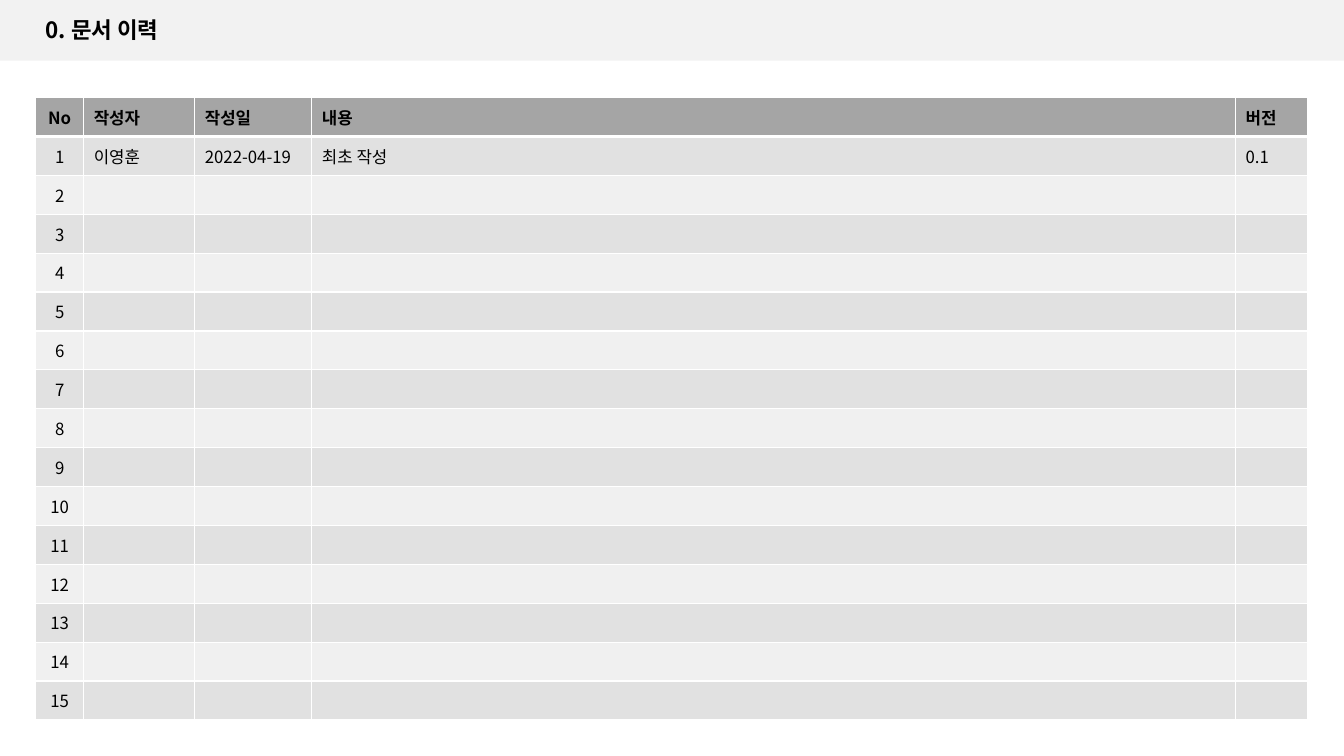
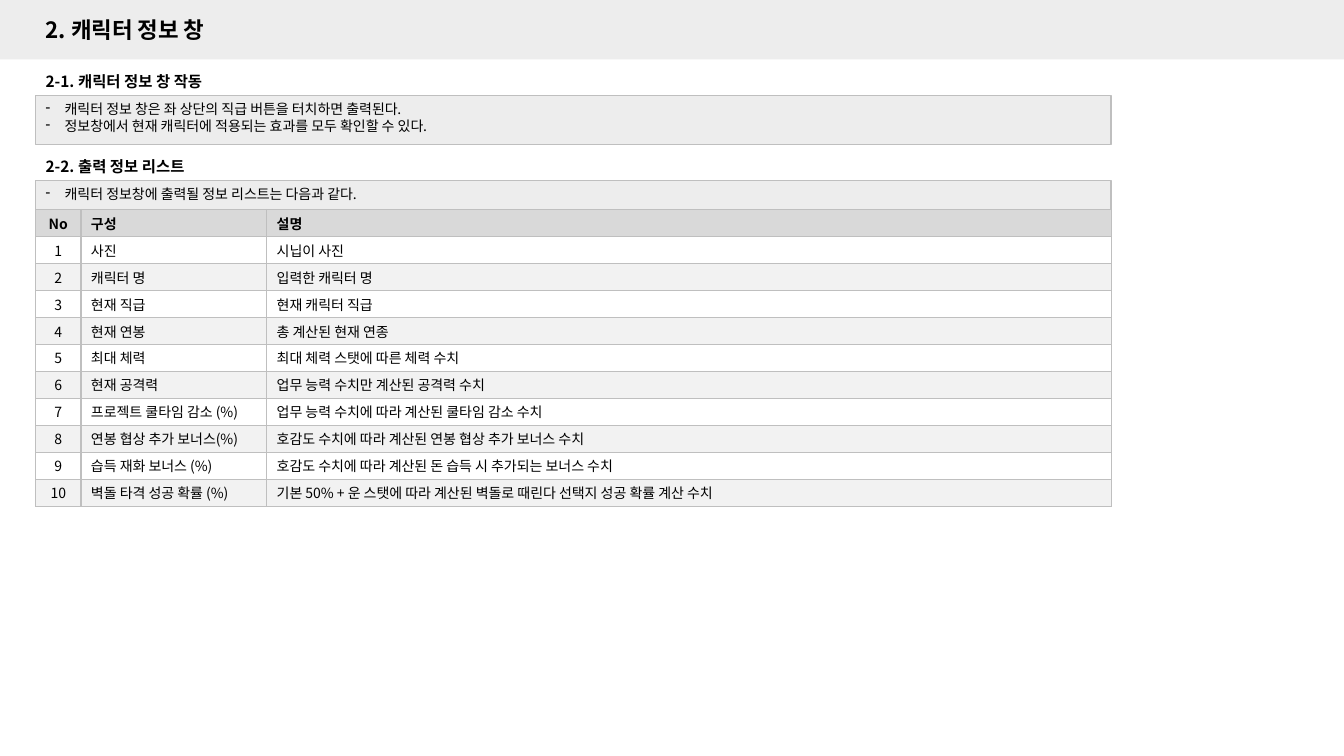
from lxml.etree import SubElement
from pptx import Presentation
from pptx.dml.color import RGBColor
from pptx.enum.shapes import MSO_SHAPE as Preset
from pptx.enum.text import MSO_ANCHOR as Anchor, PP_ALIGN as Align
from pptx.oxml.ns import qn
from pptx.util import Cm, Pt

FONT = "Noto Sans CJK KR"
BLACK = RGBColor(0x00, 0x00, 0x00)
WHITE = RGBColor(0xFF, 0xFF, 0xFF)
HISTORY_BAND = RGBColor(0xF2, 0xF2, 0xF2)
PANEL = RGBColor(0xED, 0xED, 0xED)
BORDER = RGBColor(0xBF, 0xBF, 0xBF)
HISTORY_HEADER = RGBColor(0xA5, 0xA5, 0xA5)
HISTORY_ODD = RGBColor(0xE1, 0xE1, 0xE1)
HISTORY_EVEN = RGBColor(0xF0, 0xF0, 0xF0)
INFO_HEADER = RGBColor(0xD9, 0xD9, 0xD9)
INFO_EVEN = RGBColor(0xF2, 0xF2, 0xF2)
LEFT = Cm(0.9)


def write_text(frame, text, size=10, bold=False, align=Align.LEFT,
               anchor=Anchor.MIDDLE, bullet=None):
    frame.word_wrap = True
    frame.vertical_anchor = anchor
    for index, line in enumerate(text.split("\n")):
        paragraph = frame.paragraphs[0] if index == 0 else frame.add_paragraph()
        paragraph.alignment = align
        run = paragraph.add_run()
        run.text = line
        run.font.size = Pt(size)
        run.font.bold = bold
        run.font.name = FONT
        run.font.color.rgb = BLACK
        SubElement(run.font._element, qn("a:ea"), typeface=FONT)
        if bullet:
            properties = paragraph._p.get_or_add_pPr()
            properties.set("marL", str(Cm(0.48)))
            properties.set("indent", str(-Cm(0.48)))
            SubElement(properties, qn("a:buChar"), char=bullet)


def add_grid(slide, top, widths, row_height, rows, size, fills, line, header_rule=1):
    header_fill, odd_fill, even_fill = fills
    table = slide.shapes.add_table(len(rows), len(widths), LEFT, top,
                                   Cm(sum(widths)), row_height * len(rows)).table
    table.horz_banding = False
    for column, width in zip(table.columns, widths):
        column.width = Cm(width)
    for row_index, values in enumerate(rows):
        table.rows[row_index].height = row_height
        for column_index, value in enumerate(values):
            cell = table.cell(row_index, column_index)
            cell.margin_top = cell.margin_bottom = 0
            cell.vertical_anchor = Anchor.MIDDLE
            rules = {"L": 1, "R": 1,
                     "T": header_rule if row_index == 1 else 1,
                     "B": header_rule if row_index == 0 else 1}
            for side, width in rules.items():
                edge = SubElement(cell._tc.get_or_add_tcPr(), qn(f"a:ln{side}"), w=str(Pt(width)))
                edge_fill = SubElement(edge, qn("a:solidFill"))
                SubElement(edge_fill, qn("a:srgbClr"), val=str(line))
            cell.fill.solid()
            cell.fill.fore_color.rgb = (header_fill if row_index == 0
                                        else odd_fill if row_index % 2 else even_fill)
            if value:
                write_text(cell.text_frame, value, size=size, bold=row_index == 0,
                           anchor=Anchor.MIDDLE,
                           align=Align.CENTER if column_index == 0 else Align.LEFT)


presentation = Presentation()
presentation.slide_width = Cm(33.87)
presentation.slide_height = Cm(19.05)

slides = []
for title, band_color, band_height in [("0. 문서 이력", HISTORY_BAND, 1.53),
                                       ("2. 캐릭터 정보 창", PANEL, 1.5)]:
    slide = presentation.slides.add_slide(presentation.slide_layouts[6])
    band = slide.shapes.add_shape(Preset.RECTANGLE, 0, 0,
                                  presentation.slide_width, Cm(band_height))
    band.shadow.inherit = False
    band.fill.solid()
    band.fill.fore_color.rgb = band_color
    band.line.fill.background()
    title_box = slide.shapes.add_textbox(LEFT, Cm(0.28), Cm(5.36), Cm(0.94))
    write_text(title_box.text_frame, title, size=16, bold=True)
    slides.append(slide)

history_slide, info_slide = slides

history_rows = [
    ["No", "작성자", "작성일", "내용", "버전"],
    ["1", "이영훈", "2022-04-19", "최초 작성", "0.1"],
]
history_rows += [[str(number), "", "", "", ""] for number in range(2, 16)]
add_grid(history_slide, Cm(2.46), [1.21, 2.8, 2.95, 23.28, 1.82], Cm(0.98), history_rows,
         12, (HISTORY_HEADER, HISTORY_ODD, HISTORY_EVEN), WHITE, header_rule=3)

sections = [
    ("2-1. 캐릭터 정보 창 작동", 1.68, 1.23,
     "캐릭터 정보 창은 좌 상단의 직급 버튼을 터치하면 출력된다.\n"
     "정보창에서 현재 캐릭터에 적용되는 효과를 모두 확인할 수 있다."),
    ("2-2. 출력 정보 리스트", 3.82, 0.73,
     "캐릭터 정보창에 출력될 정보 리스트는 다음과 같다."),
]
for heading, top, panel_height, notes in sections:
    panel = info_slide.shapes.add_shape(Preset.RECTANGLE, LEFT, Cm(top + 0.73),
                                        Cm(27.1), Cm(panel_height))
    panel.shadow.inherit = False
    panel.fill.solid()
    panel.fill.fore_color.rgb = PANEL
    panel.line.color.rgb = BORDER
    panel.line.width = Pt(1)
    write_text(panel.text_frame, notes, anchor=Anchor.TOP, bullet="-")
    heading_box = info_slide.shapes.add_textbox(LEFT, Cm(top), Cm(5.36), Cm(0.73))
    write_text(heading_box.text_frame, heading, size=11, bold=True)

info_items = [
    ("사진", "시닙이 사진"),
    ("캐릭터 명", "입력한 캐릭터 명"),
    ("현재 직급", "현재 캐릭터 직급"),
    ("현재 연봉", "총 계산된 현재 연종"),
    ("최대 체력", "최대 체력 스탯에 따른 체력 수치"),
    ("현재 공격력", "업무 능력 수치만 계산된 공격력 수치"),
    ("프로젝트 쿨타임 감소 (%)", "업무 능력 수치에 따라 계산된 쿨타임 감소 수치"),
    ("연봉 협상 추가 보너스(%)", "호감도 수치에 따라 계산된 연봉 협상 추가 보너스 수치"),
    ("습득 재화 보너스 (%)", "호감도 수치에 따라 계산된 돈 습득 시 추가되는 보너스 수치"),
    ("벽돌 타격 성공 확률 (%)",
     "기본 50% + 운 스탯에 따라 계산된 벽돌로 때린다 선택지 성공 확률 계산 수치"),
]
info_rows = [("No", "구성", "설명")]
info_rows += [(str(number), *item) for number, item in enumerate(info_items, 1)]
add_grid(info_slide, Cm(5.28), [1.14, 4.68, 21.3], Cm(0.68), info_rows,
         10, (INFO_HEADER, WHITE, INFO_EVEN), BORDER)

presentation.save("out.pptx")
